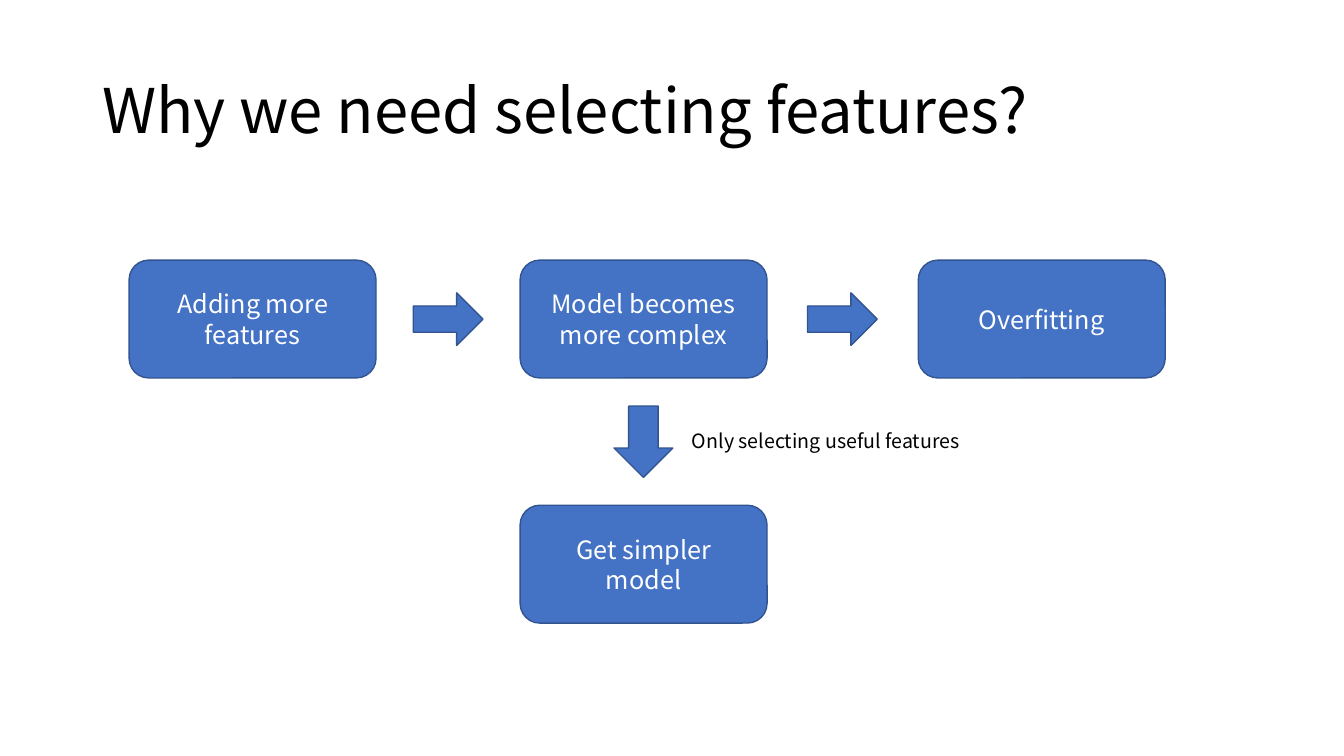
from pptx import Presentation
from pptx import util as u
from pptx.dml import color
from pptx.enum import shapes, text

HUES = {"fill": "4472C4", "edge": "325491", "ink": "000000", "pale": "FFFFFF"}
KINDS = shapes.MSO_SHAPE
ALIGN = text.PP_ALIGN
ANCHOR = text.MSO_ANCHOR


class Deck:
    """Draw styled elements on the current slide, with lengths in points."""

    face = "Noto Sans CJK KR"

    def __init__(self, wide, high):
        self.show = Presentation()
        self.show.slide_width = u.Pt(wide)
        self.show.slide_height = u.Pt(high)
        self.slide = self.show.slides.add_slide(self.show.slide_layouts[6])

    def hue(self, name):
        return color.RGBColor.from_string(HUES[name])

    def letter(self, shape, words, size, ink, align, anchor):
        frame = shape.text_frame
        frame.word_wrap = True
        frame.vertical_anchor = anchor
        para = frame.paragraphs[0]
        para.text = words
        para.alignment = align
        para.font.name = self.face
        para.font.size = u.Pt(size)
        para.font.color.rgb = self.hue(ink)
        return para

    def label(self, words, area, size, align=ALIGN.LEFT, anchor=ANCHOR.TOP):
        box = self.slide.shapes.add_textbox(*map(u.Pt, area))
        return self.letter(box, words, size, "ink", align, anchor)

    def block(self, kind, area):
        shape = self.slide.shapes.add_shape(kind, *map(u.Pt, area))
        shape.shadow.inherit = False
        shape.fill.solid()
        shape.fill.fore_color.rgb = self.hue("fill")
        shape.line.color.rgb = self.hue("edge")
        shape.line.width = u.Pt(1)
        return shape

    def step(self, words, left, top):
        shape = self.block(KINDS.ROUNDED_RECTANGLE, (left, top, 176.4, 84.2))
        self.letter(shape, words, 18, "pale", ALIGN.CENTER, ANCHOR.MIDDLE)


def main():
    deck = Deck(960, 540)
    title = deck.label("Why we need selecting features?", (66, 28.8, 828, 104.4),
                       44, anchor=ANCHOR.MIDDLE)
    title.line_spacing = 0.9

    row, mid = 185.8, 371.5
    for words, left, top in (
        ("Adding more features", 92.2, row),
        ("Model becomes more complex", mid, row),
        ("Overfitting", 655.9, row),
        ("Get simpler model", mid, 360.9),
    ):
        deck.step(words, left, top)

    for left in (295.2, 576.8):
        deck.block(KINDS.RIGHT_ARROW, (left, 209.2, 49.8, 37.6))
    deck.block(KINDS.DOWN_ARROW, (438.6, 290, 42, 51))
    deck.label("Only selecting useful features", (474.5, 303.1, 231.1, 24.5),
               14, ALIGN.CENTER)
    deck.show.save("out.pptx")


if __name__ == "__main__":
    main()
